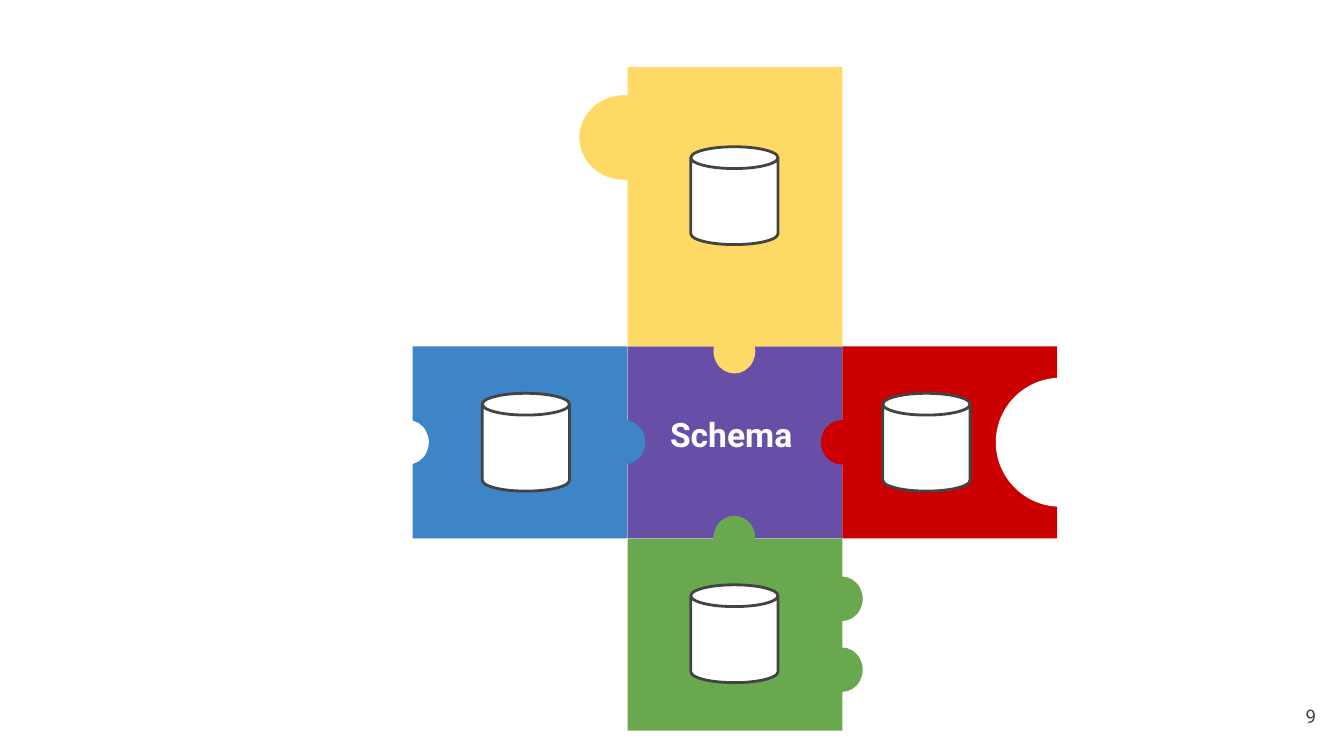
from pptx import Presentation
from pptx.dml.color import RGBColor
from pptx.enum import shapes, text
from pptx.util import Cm, Pt

WHITE = RGBColor(0xFF, 0xFF, 0xFF)
GREY = RGBColor(0x43, 0x43, 0x43)
PURPLE = RGBColor(0x67, 0x4E, 0xA7)
RED = RGBColor(0xCC, 0x00, 0x00)
BLUE = RGBColor(0x3D, 0x85, 0xC6)
GREEN = RGBColor(0x6A, 0xA8, 0x4F)
YELLOW = RGBColor(0xFF, 0xD9, 0x66)

# All lengths below are in centimetres.
TILE_W, TILE_H = 4.06, 3.63
TALL_H = 5.28
LEFT, TOP = 11.86, 6.55  # corner of the central tile
MID_X, MID_Y = 13.88, 8.36
EDGE_L, EDGE_R = 11.8, 15.91  # knob centres on the sides of the central column
KNOB = (0.79, 0.84)
CAN_W, CAN_H = 1.65, 1.85


def add_shape(parent, kind, x, y, w, h, color):
    sp = parent.add_shape(kind, Cm(x), Cm(y), Cm(w), Cm(h))
    sp.shadow.inherit = False
    sp.fill.solid()
    sp.fill.fore_color.rgb = color
    sp.line.fill.background()
    return sp


def add_tile(parent, x, y, color, h=TILE_H):
    add_shape(parent, shapes.MSO_SHAPE.RECTANGLE, x, y, TILE_W, h, color)


def add_knob(parent, cx, cy, color, size=KNOB):
    """Add an ellipse centred on (cx, cy): a tab, or a notch if white."""
    w, h = size
    add_shape(parent, shapes.MSO_SHAPE.OVAL, cx - w / 2, cy - h / 2, w, h, color)


def add_piece(s, x, y, color, knobs, h=TILE_H):
    """Group a tile with its knobs, each given as (cx, cy, size)."""
    piece = s.shapes.add_group_shape().shapes
    add_tile(piece, x, y, color, h)
    for cx, cy, size in knobs:
        add_knob(piece, cx, cy, color, size)


def add_database(s, cx, cy):
    sp = add_shape(s.shapes, shapes.MSO_SHAPE.CAN, cx - CAN_W / 2, cy - CAN_H / 2,
                   CAN_W, CAN_H, WHITE)
    sp.adjustments[0] = 0.25
    sp.line.color.rgb = GREY
    sp.line.width = Pt(1.5)


def add_label(s, words, x, y, w, h, size, color, align, bold=False):
    tf = s.shapes.add_textbox(Cm(x), Cm(y), Cm(w), Cm(h)).text_frame
    tf.word_wrap = True
    tf.vertical_anchor = text.MSO_ANCHOR.MIDDLE
    tf.margin_left = tf.margin_right = tf.margin_top = tf.margin_bottom = Cm(0.25)
    p = tf.paragraphs[0]
    p.text = words
    p.alignment = align
    p.font.name = "Roboto"
    p.font.size = Pt(size)
    p.font.bold = bold
    p.font.color.rgb = color


def main():
    prs = Presentation()
    prs.slide_width, prs.slide_height = Cm(25.4), Cm(14.29)
    s = prs.slides.add_slide(prs.slide_layouts[6])

    add_tile(s.shapes, LEFT, TOP, PURPLE)
    add_piece(s, LEFT + TILE_W, TOP, RED, [(EDGE_R, MID_Y, KNOB)])
    add_piece(s, LEFT - TILE_W, TOP, BLUE, [(EDGE_L, MID_Y, KNOB)])
    add_knob(s.shapes, 7.71, MID_Y, WHITE)
    add_knob(s.shapes, 20.05, MID_Y, WHITE, (2.46, 2.44))
    add_piece(s, LEFT, TOP + TILE_H, GREEN,
              [(MID_X, 10.17, KNOB), (EDGE_R, 11.32, KNOB), (EDGE_R, 12.66, KNOB)])
    add_piece(s, LEFT, TOP - TALL_H, YELLOW,
              [(MID_X, 6.64, KNOB), (EDGE_L, 2.6, (1.7, 1.6))], TALL_H)

    for cx, cy in [(9.94, MID_Y), (MID_X, 11.98), (17.51, MID_Y), (MID_X, 3.7)]:
        add_database(s, cx, cy)

    add_label(s, "Schema", 12.32, 7.39, 3, 1.65, 18, WHITE, text.PP_ALIGN.CENTER, True)
    add_label(s, "9", 23.6, 13, 1.52, 1.09, 10, GREY, text.PP_ALIGN.RIGHT)
    prs.save("out.pptx")


if __name__ == "__main__":
    main()
